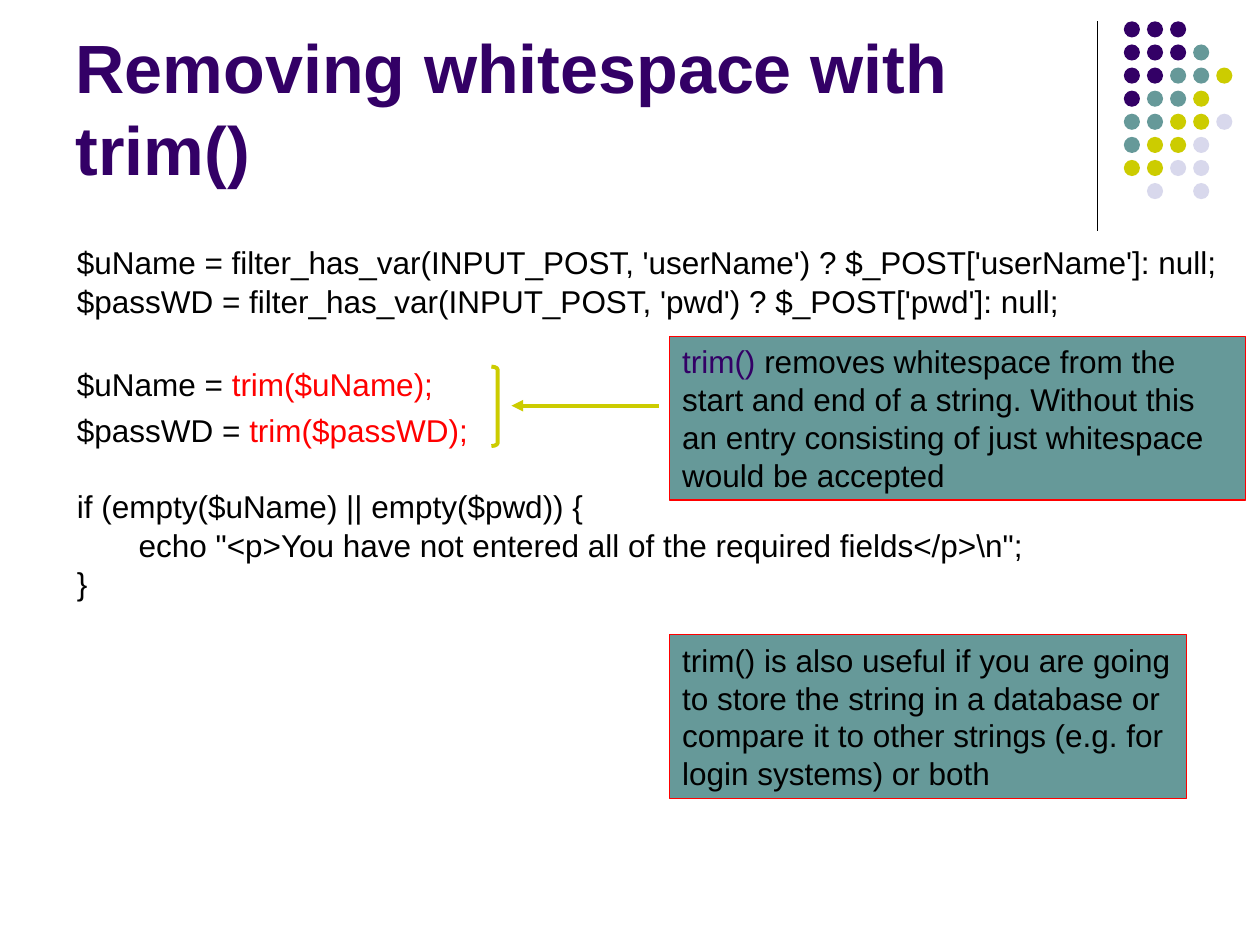
from dataclasses import dataclass

import pptx
import pptx.dml.color
import pptx.enum.shapes
import pptx.enum.text
import pptx.oxml
import pptx.oxml.ns
import pptx.util

Pt = pptx.util.Pt
RGBColor = pptx.dml.color.RGBColor
MSO_SHAPE = pptx.enum.shapes.MSO_SHAPE
MSO_ANCHOR = pptx.enum.text.MSO_ANCHOR
PP_ALIGN = pptx.enum.text.PP_ALIGN

PURPLE = RGBColor(0x33, 0x00, 0x66)
TEAL = RGBColor(0x66, 0x99, 0x99)
LIME = RGBColor(0xCC, 0xCC, 0x00)
LAVENDER = RGBColor(0xD8, 0xD8, 0xEC)
RED = RGBColor(0xFF, 0x00, 0x00)
BLACK = RGBColor(0x00, 0x00, 0x00)

DOT_COLORS = {"P": PURPLE, "T": TEAL, "Y": LIME, "L": LAVENDER}
DOT_ROWS = ["PPP", "PPPT", "PPTTY", "PTTY", "TTYYL", "TYYL", "YYLL", ".L.L"]
DOT_LEFT, DOT_TOP, DOT_PITCH, DOT_SIZE = 642.2, 12.2, 13.2, 9.2

BLOCK_GAP = 26.3  # space before a new block of code
HANGING = 35.3


@dataclass
class Run:
    text: str
    color: RGBColor = BLACK


@dataclass
class CodeLine:
    runs: list[Run]
    before: float = 4.5
    spacing: float = 0.8


@dataclass
class Callout:
    left: float
    top: float
    width: float
    height: float
    runs: list[Run]


CODE = [
    CodeLine([Run("$uName = filter_has_var(INPUT_POST, 'userName') ? $_POST['userName']: null;")]),
    CodeLine([Run("$passWD = filter_has_var(INPUT_POST, 'pwd') ? $_POST['pwd']: null;")]),
    CodeLine([Run("$uName = "), Run("trim($uName);", RED)], BLOCK_GAP, 1.0),
    CodeLine([Run("$passWD = "), Run("trim($passWD);", RED)], spacing=1.0),
    CodeLine([Run("if (empty($uName) || empty($pwd)) {")], BLOCK_GAP),
    CodeLine([Run('\techo "<p>You have not entered all of the required fields</p>\\n";')]),
    CodeLine([Run("}")]),
]

CALLOUTS = [
    Callout(382.7, 192.2, 329, 93.6, [
        Run("trim() ", PURPLE),
        Run("removes whitespace from the start and end of a string. Without this "
            "an entry consisting of just whitespace would be accepted")]),
    Callout(382.7, 362.6, 295.2, 93.6, [
        Run("trim() is also useful if you are going to store the string in a database "
            "or compare it to other strings (e.g. for login systems) or both")]),
]


def add_text(p, text: str, *, size: float = 18, color: RGBColor = BLACK, bold: bool = False) -> None:
    r = p.add_run()
    r.text = text
    r.font.name = "Arial"
    r.font.size = Pt(size)
    r.font.bold = bold
    r.font.color.rgb = color


def place(sp, left: float, top: float, width: float, height: float) -> None:
    sp.left, sp.top, sp.width, sp.height = Pt(left), Pt(top), Pt(width), Pt(height)


def add_line(s, x1: float, y1: float, x2: float, y2: float, color: RGBColor, weight: float):
    line = s.shapes.add_connector(
        pptx.enum.shapes.MSO_CONNECTOR.STRAIGHT, Pt(x1), Pt(y1), Pt(x2), Pt(y2))
    line.line.color.rgb = color
    line.line.width = Pt(weight)
    pptx.oxml.ns.qn("a:effectLst")
    line._element.spPr.append(
        pptx.oxml.parse_xml(f"<a:effectLst {pptx.oxml.ns.nsdecls('a')}/>"))
    return line


def add_arrow(s, x1: float, y1: float, x2: float, y2: float) -> None:
    arrow = add_line(s, x1, y1, x2, y2, LIME, 2.25)
    arrow.line._get_or_add_ln().append(
        pptx.oxml.parse_xml(f'<a:tailEnd {pptx.oxml.ns.nsdecls("a")} type="triangle"/>'))


def add_dots(s) -> None:
    for row, keys in enumerate(DOT_ROWS):
        for col, key in enumerate(keys):
            if key not in DOT_COLORS:
                continue
            dot = s.shapes.add_shape(
                MSO_SHAPE.OVAL, Pt(DOT_LEFT + col * DOT_PITCH), Pt(DOT_TOP + row * DOT_PITCH),
                Pt(DOT_SIZE), Pt(DOT_SIZE))
            dot.shadow.inherit = False
            dot.fill.solid()
            dot.fill.fore_color.rgb = DOT_COLORS[key]
            dot.line.fill.background()


def fill_title(sp) -> None:
    place(sp, 36, 9.4, 594, 102.2)
    tf = sp.text_frame
    tf.auto_size = pptx.enum.text.MSO_AUTO_SIZE.NONE
    tf.vertical_anchor = MSO_ANCHOR.BOTTOM
    p = tf.paragraphs[0]
    p.alignment = PP_ALIGN.LEFT
    add_text(p, "Removing whitespace with trim()", size=39, color=PURPLE, bold=True)


def fill_code(sp, lines: list[CodeLine]) -> None:
    place(sp, 36.7, 139.7, 674.6, 391)
    tf = sp.text_frame
    tf.auto_size = pptx.enum.text.MSO_AUTO_SIZE.NONE
    for i, line in enumerate(lines):
        p = tf.add_paragraph() if i else tf.paragraphs[0]
        p.space_before = Pt(line.before)
        p.line_spacing = line.spacing
        pPr = p._p.get_or_add_pPr()
        pPr.set("marL", str(Pt(HANGING)))
        pPr.set("indent", str(-Pt(HANGING)))
        pPr.append(pptx.oxml.parse_xml(f"<a:buNone {pptx.oxml.ns.nsdecls('a')}/>"))
        for run in line.runs:
            add_text(p, run.text, color=run.color)


def add_callout(s, box: Callout) -> None:
    sp = s.shapes.add_shape(
        MSO_SHAPE.RECTANGLE, Pt(box.left), Pt(box.top), Pt(box.width), Pt(box.height))
    sp.shadow.inherit = False
    sp.fill.solid()
    sp.fill.fore_color.rgb = TEAL
    sp.line.color.rgb = RED
    sp.line.width = Pt(0.75)
    tf = sp.text_frame
    tf.word_wrap = True
    tf.vertical_anchor = MSO_ANCHOR.TOP
    p = tf.paragraphs[0]
    p.alignment = PP_ALIGN.LEFT
    for run in box.runs:
        add_text(p, run.text, color=run.color)


def add_bracket(s) -> None:
    sp = s.shapes.add_shape(MSO_SHAPE.RIGHT_BRACKET, Pt(280.8), Pt(209.5), Pt(3.6), Pt(45.4))
    sp.adjustments[0] = 0.5
    sp.shadow.inherit = False
    sp.fill.background()
    sp.line.color.rgb = LIME
    sp.line.width = Pt(2.25)


def main() -> None:
    prs = pptx.Presentation()
    prs.slide_width, prs.slide_height = Pt(720), Pt(540)
    s = prs.slides.add_slide(prs.slide_layouts[1])
    add_line(s, 627.1, 12.2, 627.1, 131.8, BLACK, 0.75)
    add_dots(s)
    fill_title(s.shapes.title)
    fill_code(s.placeholders[1], CODE)
    for box in CALLOUTS:
        add_callout(s, box)
    add_arrow(s, 376.6, 231.8, 292.3, 231.8)
    add_bracket(s)
    prs.save("out.pptx")


if __name__ == "__main__":
    main()
